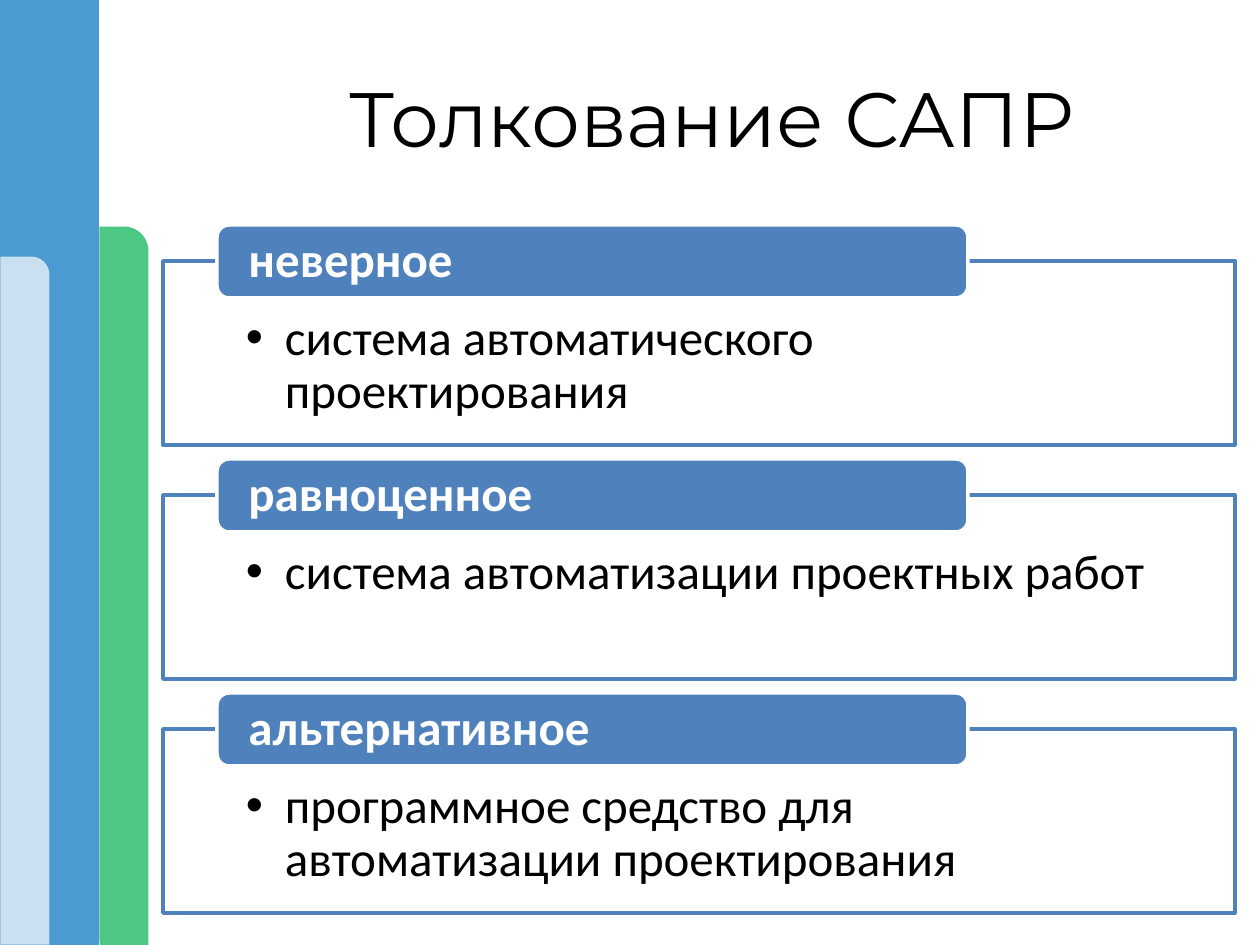
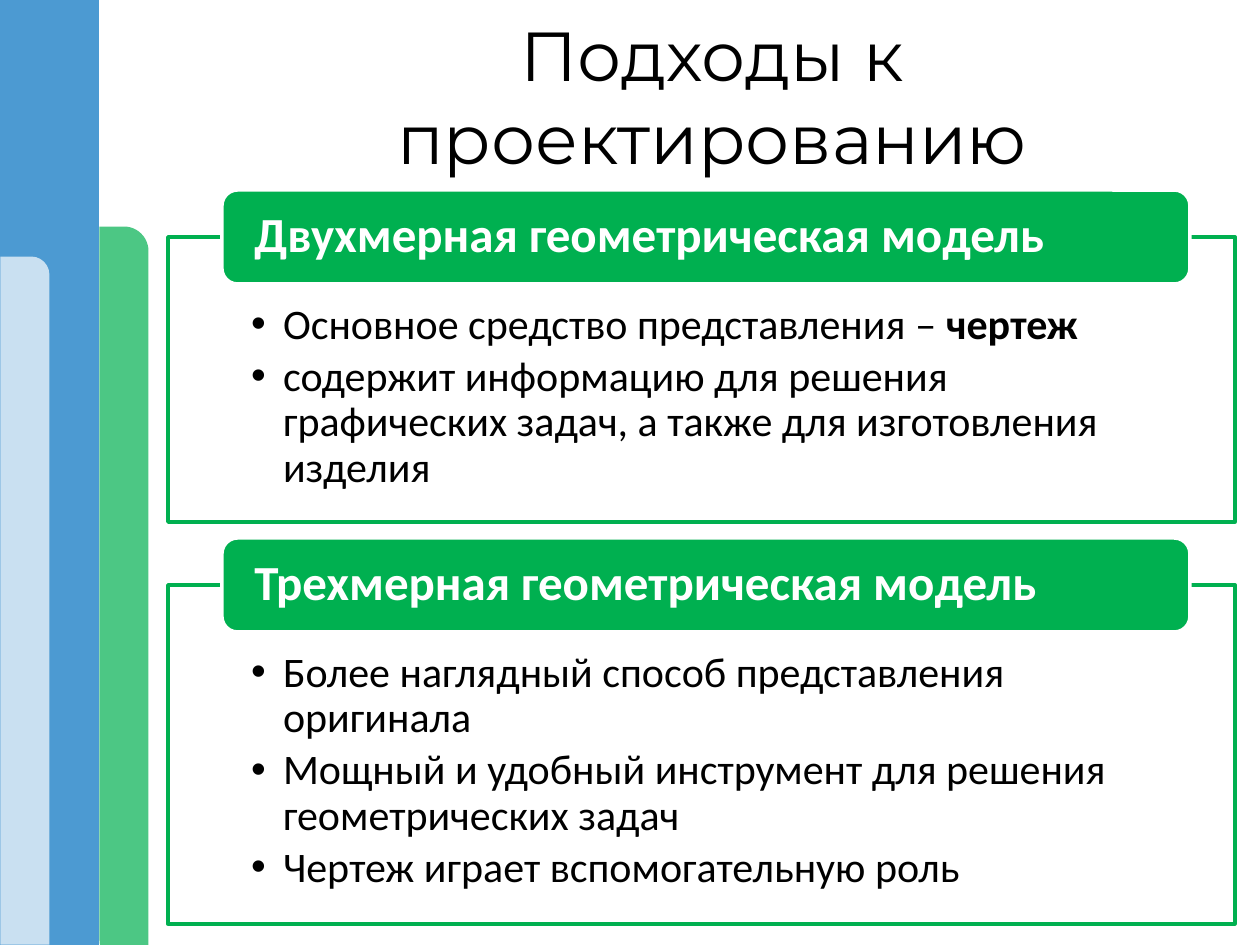
from lxml.etree import SubElement
from pptx import Presentation
from pptx.dml.color import RGBColor
from pptx.enum.shapes import MSO_SHAPE
from pptx.enum.text import MSO_ANCHOR, MSO_AUTO_SIZE, PP_ALIGN
from pptx.oxml.ns import qn
from pptx.util import Emu, Pt

PX = 914400 / 126
WHITE = RGBColor(0xFF, 0xFF, 0xFF)
BLACK = RGBColor(0x00, 0x00, 0x00)
BAND_BLUE = RGBColor(0x00, 0x70, 0xC0)
GREEN = RGBColor(0x00, 0xB0, 0x50)
CARD_BLUE = RGBColor(0x4F, 0x81, 0xBD)
TITLE_FONT = "Montserrat"
BODY_FONT = "Calibri"
TITLE_ONLY = 5


def px(length):
    return Emu(round(length * PX))


def write_text(shape, paragraphs, *, size, font=BODY_FONT, color=BLACK, bold=False,
               align=PP_ALIGN.LEFT, anchor=MSO_ANCHOR.MIDDLE, insets=None,
               line_spacing=0.9, space_after=0, bullet_indent=0):
    frame = shape.text_frame
    frame.word_wrap = True
    frame.auto_size = MSO_AUTO_SIZE.NONE
    frame.vertical_anchor = anchor
    if insets:
        (frame.margin_left, frame.margin_top,
         frame.margin_right, frame.margin_bottom) = map(px, insets)
    for index, runs in enumerate(paragraphs):
        paragraph = frame.add_paragraph() if index else frame.paragraphs[0]
        paragraph.alignment = align
        paragraph.line_spacing = line_spacing
        paragraph.space_after = Pt(space_after)
        if bullet_indent:
            add_bullet(paragraph, bullet_indent)
        plain, *strong = [runs] if isinstance(runs, str) else runs
        for text, is_bold in [(plain, bold)] + [(text, True) for text in strong]:
            run = paragraph.add_run()
            run.text = text
            run.font.name = font
            run.font.size = Pt(size)
            run.font.bold = is_bold
            run.font.color.rgb = color


def add_bullet(paragraph, indent):
    properties = paragraph._p.get_or_add_pPr()
    properties.set("marL", str(px(indent)))
    properties.set("indent", str(-px(indent)))
    SubElement(properties, qn("a:buFont")).set("typeface", "Arial")
    SubElement(properties, qn("a:buChar")).set("char", "•")


def add_box(slide, kind, box, fill, line=None, opacity=100):
    shape = slide.shapes.add_shape(kind, *map(px, box))
    shape.shadow.inherit = False
    shape.fill.solid()
    shape.fill.fore_color.rgb = fill
    if opacity < 100:
        color = shape.element.spPr.find(qn("a:solidFill"))[0]
        SubElement(color, qn("a:alpha")).set("val", str(opacity * 1000))
    if line is None:
        shape.line.fill.background()
    else:
        shape.line.color.rgb = line
        shape.line.width = Pt(2)
    return shape


def move_bands_to_layout(slide):
    add_box(slide, MSO_SHAPE.RECTANGLE, (0, 0, 99, 974), BAND_BLUE, opacity=70)

    green_band = add_box(slide, MSO_SHAPE.ROUND_2_DIAG_RECTANGLE,
                         (-245, 571, 738, 49), GREEN, opacity=70)
    green_band.rotation = 270
    green_band.adjustments[0] = 0.5
    green_band.adjustments[1] = 0

    pale_band = add_box(slide, MSO_SHAPE.ROUND_1_RECTANGLE,
                        (-319, 576, 688, 49), WHITE, opacity=70)
    pale_band.rotation = 90
    pale_band.adjustments[0] = 0.37
    pale_band.element.spPr.xfrm.set("flipH", "1")

    bands = [shape for shape in slide.shapes if not shape.is_placeholder]
    for shape_id, band in enumerate(bands, 20):
        band.element.nvSpPr.cNvPr.set("id", str(shape_id))
        slide.slide_layout.shapes.element.append(band.element)


def set_title(slide, text, top, size):
    title = slide.shapes.title
    title.left, title.top, title.width, title.height = map(px, (227, top, 970, 158))
    write_text(title, [text], size=size, font=TITLE_FONT,
               align=PP_ALIGN.CENTER, line_spacing=1)


def add_card(slide, heading, points, *, box, tab_size, color, size, insets, indent):
    left, top, width, height = box
    tab_width, tab_height = tab_size
    body = add_box(slide, MSO_SHAPE.RECTANGLE, box, WHITE, color, opacity=90)
    write_text(body, points, size=size, anchor=MSO_ANCHOR.TOP, insets=insets,
               space_after=4, bullet_indent=indent)
    tab_box = (left + 54, top - tab_height // 2, tab_width, tab_height)
    tab = add_box(slide, MSO_SHAPE.ROUNDED_RECTANGLE, tab_box, color, WHITE)
    write_text(tab, [heading], size=28, color=WHITE, bold=True, insets=(28, 0, 28, 0))


def add_cards(slide, cards, *, left, top, width, gap, **card_format):
    for heading, points, height in cards:
        add_card(slide, heading, points, box=(left, top, width, height), **card_format)
        top += height + gap


def build_meanings(slide):
    set_title(slide, "Толкование САПР", top=38, size=44)
    meanings = [
        ("неверное", ["система автоматического проектирования"], 184),
        ("равноценное", ["система автоматизации проектных работ"], 184),
        ("альтернативное",
         ["программное средство для автоматизации проектирования"], 184),
    ]
    add_cards(slide, meanings, left=163, top=261, width=1072, gap=50,
              tab_size=(751, 73), color=CARD_BLUE, size=28,
              insets=(83, 52, 83, 28), indent=39)


def build_approaches(slide):
    set_title(slide, "Подходы к проектированию", top=16, size=39.6)
    approaches = [
        ("Двухмерная геометрическая модель", [
            ("Основное средство представления ‒", " чертеж"),
            "содержит информацию для решения графических задач, "
            "а также для изготовления изделия",
        ], 285),
        ("Трехмерная геометрическая модель", [
            "Более наглядный способ представления оригинала",
            "Мощный и удобный инструмент для решения геометрических задач",
            "Чертеж играет вспомогательную роль",
        ], 339),
    ]
    add_cards(slide, approaches, left=168, top=237, width=1067, gap=63,
              tab_size=(968, 94), color=GREEN, size=24,
              insets=(83, 66, 83, 24), indent=32)


def main():
    presentation = Presentation()
    presentation.slide_width = px(1260)
    presentation.slide_height = px(945)
    layout = presentation.slide_layouts[TITLE_ONLY]
    meanings_slide = presentation.slides.add_slide(layout)
    move_bands_to_layout(meanings_slide)
    build_meanings(meanings_slide)
    build_approaches(presentation.slides.add_slide(layout))
    presentation.save("out.pptx")


if __name__ == "__main__":
    main()
